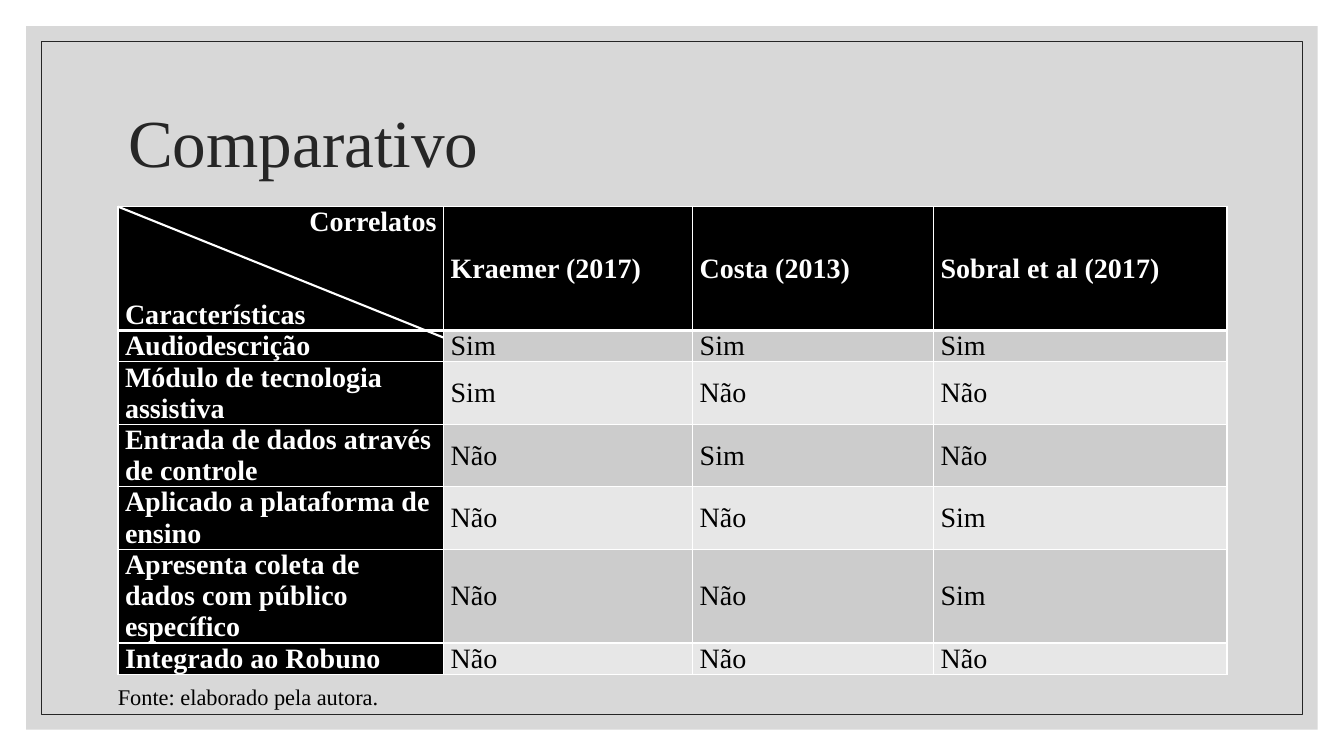
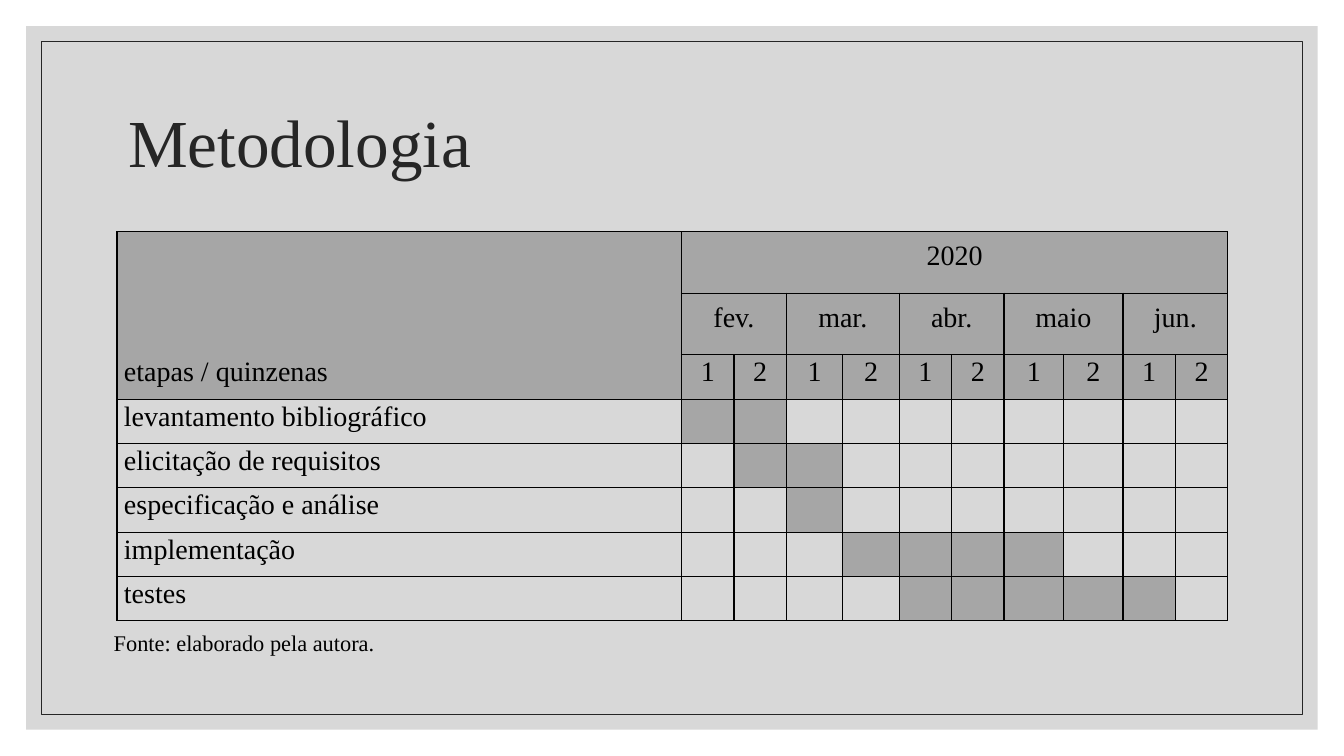
from lxml.etree import SubElement
from pptx import Presentation
from pptx.dml.color import RGBColor
from pptx.enum.shapes import MSO_CONNECTOR, MSO_SHAPE
from pptx.enum.text import MSO_ANCHOR as ANCHOR, PP_ALIGN as ALIGN
from pptx.oxml.ns import qn
from pptx.util import Inches, Pt

FONT = "Times New Roman"
BLACK = RGBColor(0x00, 0x00, 0x00)
WHITE = RGBColor(0xFF, 0xFF, 0xFF)
DARK = RGBColor(0x26, 0x26, 0x26)
PANEL = RGBColor(0xBF, 0xBF, 0xBF)
GRAY = RGBColor(0xA6, 0xA6, 0xA6)
BANDS = (RGBColor(0xCC, 0xCC, 0xCC), RGBColor(0xE7, 0xE7, 0xE7))
NO_STYLE = "{2D5ABB26-0587-4C30-8999-92F81FD0307C}"
SOURCE = "Fonte: elaborado pela autora."

STUDIES = ("Kraemer (2017)", "Costa (2013)", "Sobral et al (2017)")
FEATURES = (
    ("Audiodescrição", 0.31, ("Sim", "Sim", "Sim")),
    ("Módulo de tecnologia assistiva", 0.62, ("Sim", "Não", "Não")),
    ("Entrada de dados através de controle", 0.62, ("Não", "Sim", "Não")),
    ("Aplicado a plataforma de ensino", 0.62, ("Não", "Não", "Sim")),
    ("Apresenta coleta de dados com público específico", 0.93, ("Não", "Não", "Sim")),
    ("Integrado ao Robuno", 0.31, ("Não", "Não", "Não")),
)
MONTHS = (("fev.", 0.52), ("mar.", 0.56), ("abr.", 0.52), ("maio", 0.59), ("jun.", 0.52))
STAGES = (
    ("levantamento bibliográfico", 1, 2),
    ("elicitação de requisitos", 2, 3),
    ("especificação e análise", 3, 3),
    ("implementação", 4, 7),
    ("testes", 5, 9),
)


def write(tf, text, size=20, color=BLACK, bold=False, align=ALIGN.LEFT, before=0, new=False):
    """Write one formatted paragraph, in the first one or in a new one."""
    p = tf.add_paragraph() if new else tf.paragraphs[0]
    p.alignment = align
    p.space_before = Pt(before)
    r = p.add_run()
    r.text = text
    r.font.name, r.font.size, r.font.bold = FONT, Pt(size), bold
    r.font.color.rgb = color
    return p


def add_frame(prs, s):
    """Draw the panel and its thin outline and place them on the master."""
    tree = prs.slide_master.shapes.element
    for i, margin in enumerate((0.26, 0.41)):
        m = Inches(margin)
        sp = s.shapes.add_shape(MSO_SHAPE.RECTANGLE, m, m,
                                prs.slide_width - 2 * m, prs.slide_height - 2 * m)
        sp.shadow.inherit = False
        if i == 0:
            sp.fill.solid()
            sp.fill.fore_color.rgb = PANEL
            sp.line.fill.background()
            color = sp.element.spPr.find(qn("a:solidFill"))[0]
            SubElement(color, qn("a:alpha")).set("val", "60000")
        else:
            sp.fill.background()
            sp.line.color.rgb = DARK
            sp.line.width = Pt(0.5)
        sp.element.xpath("p:nvSpPr/p:cNvPr")[0].set("id", str(100 + i))
        tree.insert(2 + i, sp.element)


def add_titled_slide(prs, title):
    """Add a slide with the shared title style."""
    s = prs.slides.add_slide(prs.slide_layouts[5])
    sp = s.shapes.title
    sp.left, sp.top, sp.width, sp.height = (Inches(v) for v in (1.17, 0.7, 11, 1.5))
    sp.text_frame.vertical_anchor = ANCHOR.MIDDLE
    write(sp.text_frame, title, size=48, color=DARK).line_spacing = 0.9
    return s


def add_source(s, left, top):
    """Add the source line under a table."""
    sp = s.shapes.add_textbox(Inches(left), Inches(top), Inches(3), Inches(0.37))
    sp.text_frame.word_wrap = True
    write(sp.text_frame, SOURCE, size=16)


def add_grid(s, left, top, widths, heights):
    """Add an unstyled table with the given column widths and row heights."""
    table = s.shapes.add_table(len(heights), len(widths), Inches(left), Inches(top),
                               Inches(sum(widths)), Inches(sum(heights))).table
    table.first_row = table.horz_banding = False
    table._tbl.tblPr.find(qn("a:tableStyleId")).text = NO_STYLE
    for col, width in zip(table.columns, widths):
        col.width = Inches(width)
    for row, height in zip(table.rows, heights):
        row.height = Inches(height)
    return table


def format_cell(cell, fill=None, border=BLACK, sides="LRTB", bottom=1,
                insets=(0.07, 0), anchor=ANCHOR.TOP):
    """Set the insets, borders and fill of a cell."""
    cell.margin_left = cell.margin_right = Inches(insets[0])
    cell.margin_top, cell.margin_bottom = Inches(insets[1]), 0
    cell.vertical_anchor = anchor
    tcPr = cell._tc.get_or_add_tcPr()
    for side in sides:
        ln = SubElement(tcPr, qn(f"a:ln{side}"))
        ln.set("w", str(Pt(bottom if side == "B" else 1)))
        solid = SubElement(ln, qn("a:solidFill"))
        SubElement(solid, qn("a:srgbClr")).set("val", str(border))
    if fill is None:
        cell.fill.background()
    else:
        cell.fill.solid()
        cell.fill.fore_color.rgb = fill


def add_comparison(s, left, top):
    """Add the table of related works with its split corner cell."""
    widths = (3.23, 2.47, 2.39, 2.91)
    table = add_grid(s, left, top, widths, [1.23] + [h for _, h, _ in FEATURES])
    rows = [("",) + STUDIES] + [(name,) + answers for name, _, answers in FEATURES]
    for i, row in enumerate(rows):
        for j, text in enumerate(row):
            cell = table.cell(i, j)
            head = i == 0 or j == 0
            corner = i == j == 0
            format_cell(cell, BLACK if head else BANDS[(i - 1) % 2], WHITE,
                        bottom=3 if i == 0 else 1,
                        anchor=ANCHOR.TOP if corner else ANCHOR.MIDDLE)
            if not corner:
                write(cell.text_frame, text, color=WHITE if head else BLACK, bold=head)
    tf = table.cell(0, 0).text_frame
    write(tf, "Correlatos", color=WHITE, bold=True, align=ALIGN.RIGHT)
    write(tf, "Características", color=WHITE, bold=True, before=44, new=True)
    line = s.shapes.add_connector(MSO_CONNECTOR.STRAIGHT, Inches(left), Inches(top),
                                  Inches(left + widths[0]), Inches(top + 1.3))
    line.line.color.rgb = WHITE
    line.line.width = Pt(1.5)
    SubElement(line.element.spPr, qn("a:effectLst"))


def add_schedule(s, left, top):
    """Add the schedule of stages by fortnight."""
    widths = [5.6] + [w for _, w in MONTHS for _ in range(2)]
    table = add_grid(s, left, top, widths, [0.61] * 2 + [0.44] * 6)
    spans = [(i, first, last) for i, (_, first, last) in enumerate(STAGES, 3)]
    busy = {(i, j) for i, first, last in spans for j in range(first, last + 1)}
    for i in range(len(table.rows)):
        for j in range(len(widths)):
            sides = ("LRT", "LR", "LRB")[i] if j == 0 and i < 3 else "LRTB"
            fill = GRAY if i < 3 or (i, j) in busy else None
            insets = (0.19, 0.09) if i < 2 and j else (0.07, 0.02)
            format_cell(table.cell(i, j), fill, sides=sides, insets=insets)
    table.cell(0, 1).merge(table.cell(0, 10))
    write(table.cell(0, 1).text_frame, "2020", align=ALIGN.CENTER)
    for m, (month, _) in enumerate(MONTHS):
        j = 1 + 2 * m
        table.cell(1, j).merge(table.cell(1, j + 1))
        write(table.cell(1, j).text_frame, month, align=ALIGN.CENTER)
        for k in range(2):
            write(table.cell(2, j + k).text_frame, str(k + 1), align=ALIGN.CENTER)
    labels = ["etapas / quinzenas"] + [name for name, _, _ in STAGES]
    for i, label in enumerate(labels, 2):
        write(table.cell(i, 0).text_frame, label)


def main():
    """Build and save the presentation."""
    prs = Presentation()
    prs.slide_width, prs.slide_height = Inches(13.33), Inches(7.5)
    s = add_titled_slide(prs, "Comparativo")
    add_frame(prs, s)
    add_comparison(s, 1.17, 2.05)
    add_source(s, 1.07, 6.73)
    s = add_titled_slide(prs, "Metodologia")
    add_schedule(s, 1.16, 2.3)
    add_source(s, 1.03, 6.19)
    prs.save("out.pptx")


if __name__ == "__main__":
    main()
